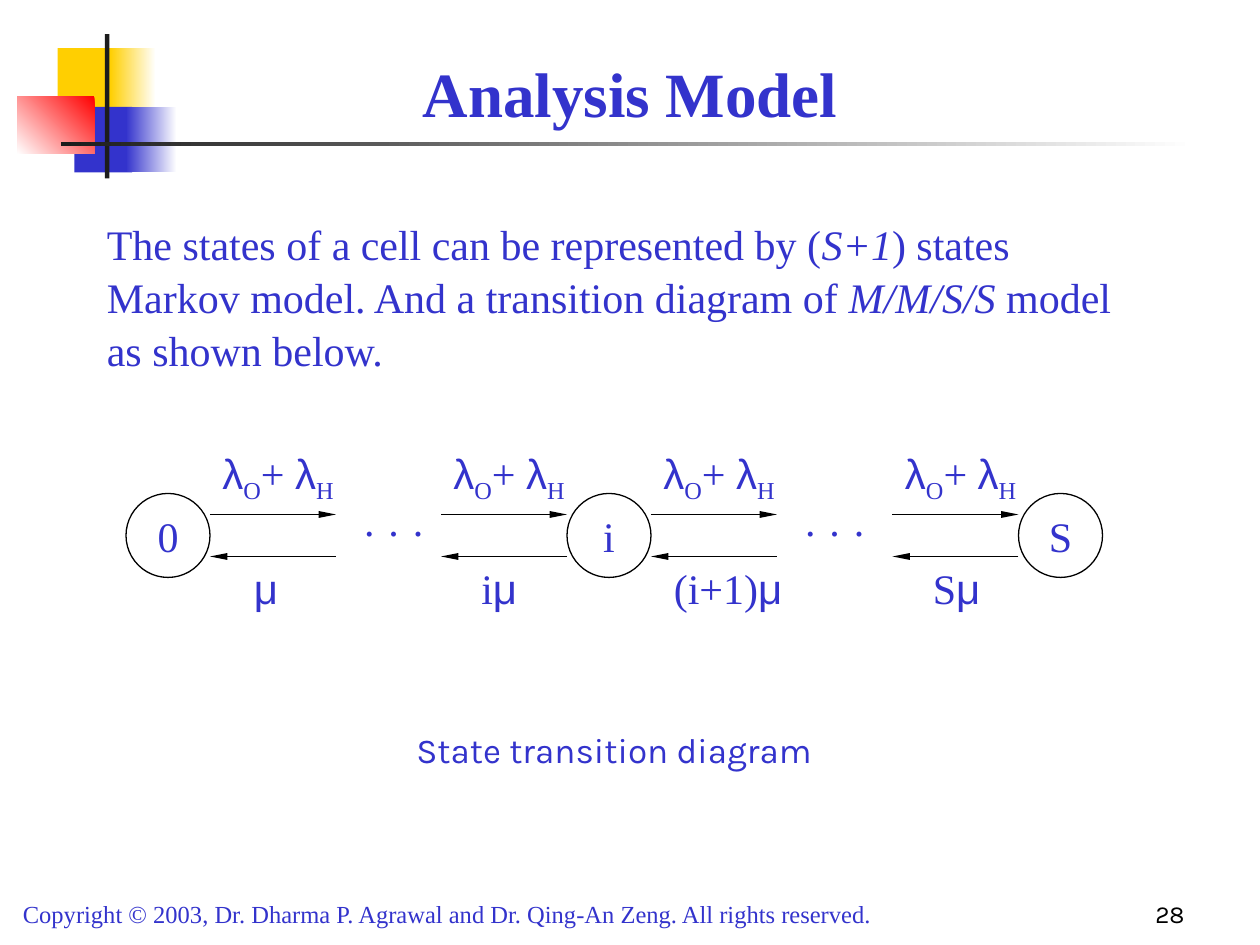
from lxml.etree import SubElement
from pptx import Presentation
from pptx.dml.color import RGBColor
from pptx.enum.shapes import MSO_CONNECTOR, MSO_SHAPE
from pptx.enum.text import MSO_ANCHOR, PP_ALIGN
from pptx.oxml.ns import qn
from pptx.util import Pt

BLUE, BLACK, DARK, WHITE = "3333CC", "000000", "1C1C1C", "FFFFFF"
YELLOW, RED = "FFCF01", "FF0000"
SERIF, GREEK, SANS = "Times New Roman", "Arial", "Karla"
STATE_SIZE, STATE_TOP, ARROW_LENGTH = 48, 282, 72
STATES = [("0", 72), ("i", 324), ("S", 582)]
TRANSITIONS = [
    (120, "", 18, 32),
    (252, "i", 16, 45),
    (372, "(i+1)", 6, 78),
    (510, "S", 16, 45),
]
BLOCKS = [
    (33, 27.5, 35, 37.5, [YELLOW], 0),
    (63, 27.5, 26, 37.5, [WHITE, YELLOW], 180),
    (42.5, 61, 33, 37.5, [BLUE], 0),
    (72, 61, 29, 37.5, [WHITE, BLUE], 180),
    (10, 55, 44, 33, [RED, WHITE], 225),
    (60, 19.5, 2.5, 82.5, [DARK], 0),
    (35, 81, 648, 2.5, [WHITE, DARK], 180),
]


def rgb(color):
    return RGBColor.from_string(color)


def add_block(s, x, y, w, h, colors, angle):
    sp = s.shapes.add_shape(MSO_SHAPE.RECTANGLE, Pt(x), Pt(y), Pt(w), Pt(h))
    sp.shadow.inherit = False
    sp.line.fill.background()
    if len(colors) == 1:
        sp.fill.solid()
        sp.fill.fore_color.rgb = rgb(colors[0])
        return
    sp.fill.gradient()
    sp.fill.gradient_angle = angle
    for stop, color in zip(sp.fill.gradient_stops, colors):
        stop.color.rgb = rgb(color)


def add_text(s, x, y, w, h, runs, size=24, color=BLUE, font=SERIF,
             align=PP_ALIGN.LEFT, anchor=MSO_ANCHOR.TOP):
    tf = s.shapes.add_textbox(Pt(x), Pt(y), Pt(w), Pt(h)).text_frame
    tf.word_wrap = True
    tf.vertical_anchor = anchor
    p = tf.paragraphs[0]
    p.alignment = align
    for text, style in runs:
        r = p.add_run()
        r.text = text
        r.font.size = Pt(size)
        r.font.name = style.get("font", font)
        r.font.color.rgb = rgb(color)
        r.font.bold = style.get("bold", False)
        r.font.italic = style.get("italic", False)
        if style.get("sub"):
            r.font._element.set("baseline", "-25000")
    return p


def add_state(s, name, x):
    sp = s.shapes.add_shape(MSO_SHAPE.OVAL, Pt(x), Pt(STATE_TOP),
                            Pt(STATE_SIZE), Pt(STATE_SIZE))
    sp.shadow.inherit = False
    sp.fill.background()
    sp.line.color.rgb = rgb(BLACK)
    sp.line.width = Pt(0.75)
    add_text(s, x + 6, STATE_TOP + 6, 36, 36, [(name, {})],
             align=PP_ALIGN.CENTER)


def add_arrow(s, x1, x2, y):
    line = s.shapes.add_connector(MSO_CONNECTOR.STRAIGHT,
                                  Pt(x1), Pt(y), Pt(x2), Pt(y))
    line.line.color.rgb = rgb(BLACK)
    line.line.width = Pt(0.75)
    SubElement(line.line._get_or_add_ln(), qn("a:tailEnd"),
               type="triangle", w="sm", len="lg")
    SubElement(line._element.spPr, qn("a:effectLst"))


def add_transition(s, x, factor, offset, width):
    greek, sub = {"font": GREEK}, {"sub": True}
    add_arrow(s, x, x + ARROW_LENGTH, STATE_TOP + 12)
    add_arrow(s, x + ARROW_LENGTH, x, STATE_TOP + 36)
    add_text(s, x, 252, 90, 40, [("λ", greek), ("O", sub), ("+ ", {}),
                                 ("λ", greek), ("H", sub)])
    rate = [(factor, {})] if factor else []
    add_text(s, x + offset, 318, width, 36, rate + [("μ", greek)])


def main():
    prs = Presentation()
    prs.slide_width, prs.slide_height = Pt(720), Pt(540)
    s = prs.slides.add_slide(prs.slide_layouts[6])

    for block in BLOCKS:
        add_block(s, *block)
    add_text(s, 54, 24, 612, 54, [("Analysis Model", {"bold": True})],
             size=36, align=PP_ALIGN.CENTER, anchor=MSO_ANCHOR.BOTTOM)
    italic = {"italic": True}
    body = add_text(s, 54, 120, 612, 108, [
        ("The states of a cell can be represented by (", {}),
        ("S+1", italic),
        (") states Markov model. And a transition diagram of ", {}),
        ("M/M/S/S", italic),
        (" model as shown below.", {}),
    ])
    body.line_spacing = 1.05

    for name, x in STATES:
        add_state(s, name, x)
    for transition in TRANSITIONS:
        add_transition(s, *transition)
    for x in (198, 450):
        add_text(s, x, 286, 54, 36, [("· · ·", {})], align=PP_ALIGN.CENTER)

    add_text(s, 114, 412.5, 474, 32, [("State transition diagram", {})],
             size=20, font=SANS, align=PP_ALIGN.CENTER)
    add_text(s, 6, 510, 546, 24, [(
        "Copyright © 2003, Dr. Dharma P. Agrawal and Dr. Qing-An Zeng. "
        "All rights reserved.", {})], size=14)
    add_text(s, 534, 498, 150, 36, [("28", {})], size=14, color=BLACK,
             font=SANS, align=PP_ALIGN.RIGHT, anchor=MSO_ANCHOR.BOTTOM)
    prs.save("out.pptx")


if __name__ == "__main__":
    main()
